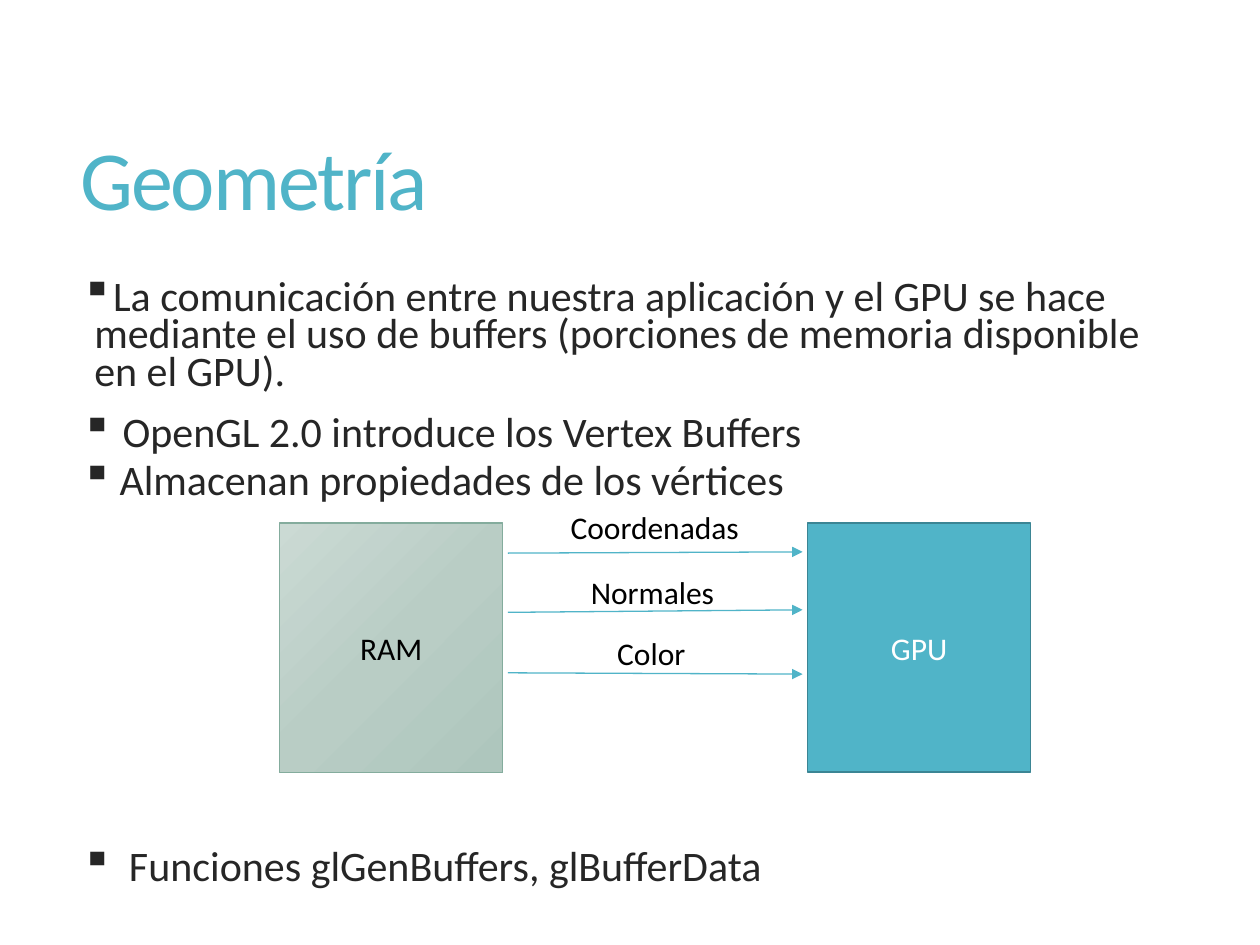
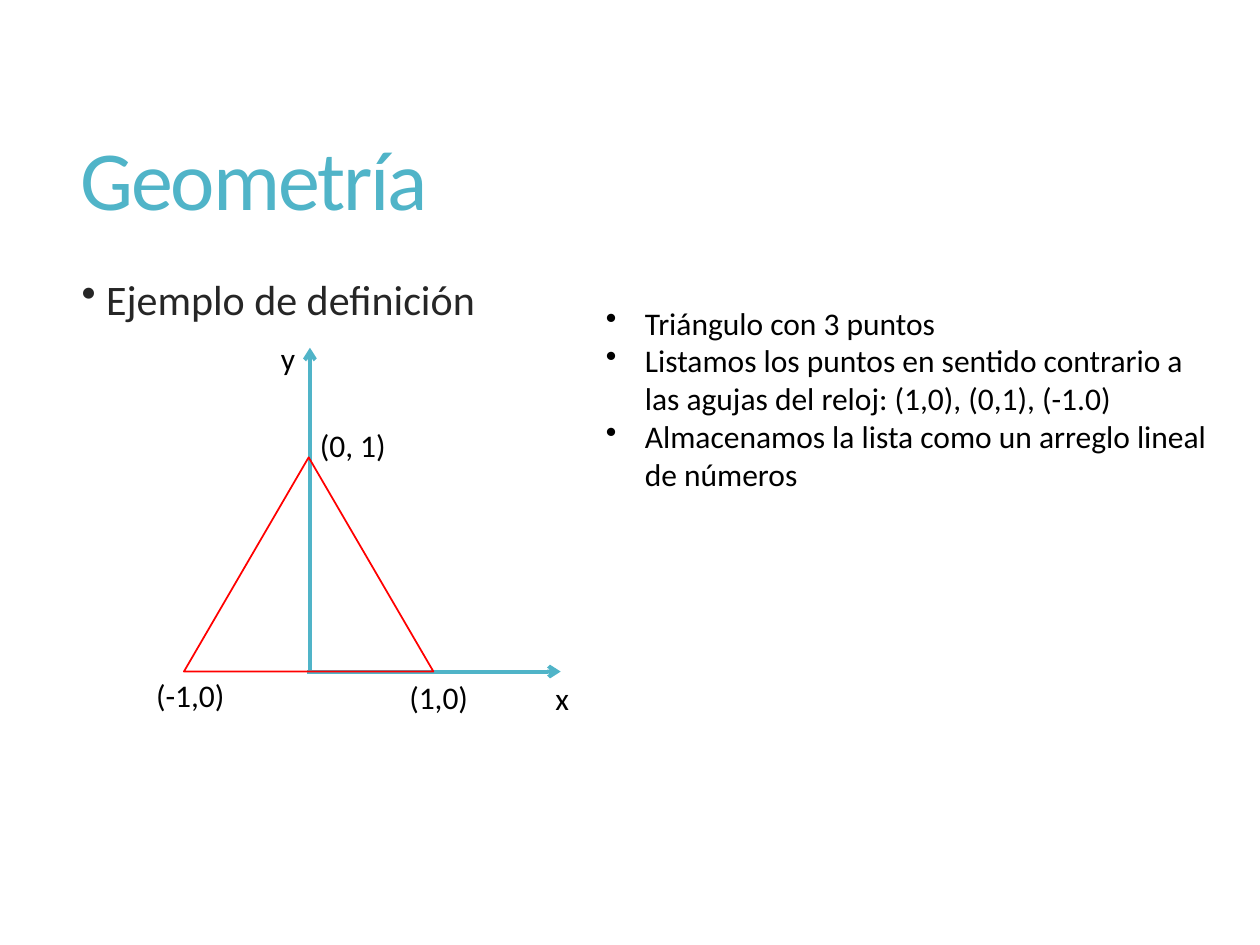
from copy import deepcopy

from lxml.etree import SubElement
from pptx import Presentation
from pptx.dml.color import RGBColor
from pptx.enum.shapes import MSO_CONNECTOR, MSO_SHAPE
from pptx.enum.text import MSO_ANCHOR, MSO_AUTO_SIZE, PP_ALIGN
from pptx.oxml.ns import qn
from pptx.util import Inches, Pt

rgb = RGBColor.from_string
TEAL, DARK, BLACK, WHITE, RED = "50B4C8", "262626", "000000", "FFFFFF", "FF0000"

TITLE_BOX = (0.54, 0.55, 8.84, 1.81)
TITLE_FONT = {"size": Pt(48), "name": "Calibri"}
BODY_FONT = {"size": Pt(24), "name": "Calibri"}
LABEL_FONT = {"size": Pt(18), "name": "Calibri"}
LABEL_FRAME = {"word_wrap": False, "auto_size": MSO_AUTO_SIZE.SHAPE_TO_FIT_TEXT}


def write(shape, lines, font, color, frame, bullet=None):
    """Fill shape with lines of (text, paragraph format, hanging indent)."""
    for key, value in frame.items():
        setattr(shape.text_frame, key, value)
    for number, (text, layout, indent) in enumerate(lines):
        paragraph = (shape.text_frame.add_paragraph() if number
                     else shape.text_frame.paragraphs[0])
        run = paragraph.add_run()
        run.text = text
        for key, value in layout.items():
            setattr(paragraph, key, value)
        for key, value in font.items():
            setattr(run.font, key, value)
        run.font.color.rgb = rgb(color)
        if bullet:
            properties = paragraph._p.get_or_add_pPr()
            properties.set("marL", str(Inches(indent)))
            properties.set("indent", str(-Inches(indent)))
            SubElement(properties, qn("a:buChar")).set("char", bullet)
    return shape


def arrow(slide, start, end, width, head):
    points = [Inches(value) for value in (*start, *end)]
    connector = slide.shapes.add_connector(MSO_CONNECTOR.STRAIGHT, *points)
    connector.line.color.rgb = rgb(TEAL)
    connector.line.width = Pt(width)
    SubElement(connector.line._get_or_add_ln(), qn("a:tailEnd")).set("type", head)
    SubElement(connector._element.spPr, qn("a:effectLst"))


presentation = Presentation()
presentation.slide_width, presentation.slide_height = Inches(10), Inches(7.5)

# Both slides: title and bulleted body
first_level = {"line_spacing": 0.75, "space_before": Pt(13)}
second_level = {"line_spacing": 0.75, "space_before": Pt(6)}
below_diagram = {"line_spacing": 0.75, "space_before": Pt(199)}
bodies = [
    (4.98, "▪", [
        ("La comunicación entre nuestra aplicación y el GPU se hace mediante el uso "
         "de buffers (porciones de memoria disponible en el GPU).", first_level, 0.1),
        (" OpenGL 2.0 introduce los Vertex Buffers", first_level, 0.1),
        ("Almacenan propiedades de los vértices", second_level, 0.3),
        (" Funciones glGenBuffers, glBufferData", below_diagram, 0.3),
    ]),
    (4.12, "•", [
        (" Ejemplo de definición", {"line_spacing": 0.85, "space_before": Pt(13)}, 0.1),
    ]),
]
slides = []
for body_height, bullet, lines in bodies:
    slide = presentation.slides.add_slide(presentation.slide_layouts[6])
    title = slide.shapes.add_textbox(*map(Inches, TITLE_BOX))
    write(title, [("Geometría", {"line_spacing": 0.9}, 0)], TITLE_FONT, TEAL,
          {"word_wrap": True, "vertical_anchor": MSO_ANCHOR.MIDDLE})
    title.text_frame.paragraphs[0].runs[0].font._element.set("spc", "-120")
    body = slide.shapes.add_textbox(*map(Inches, (0.55, 2.18, 8.82, body_height)))
    write(body, lines, BODY_FONT, DARK, {"word_wrap": True}, bullet)
    slides.append(slide)
buffers_slide, triangle_slide = slides

# Slide 1: memory blocks and the data sent between them
memories = []
for name, left, text_color, border, border_width in [
        ("RAM", 2.22, BLACK, "84AC9D", 0.75), ("GPU", 6.41, WHITE, "3B8594", 1)]:
    memory = buffers_slide.shapes.add_shape(
        MSO_SHAPE.RECTANGLE, *map(Inches, (left, 4.15, 1.77, 1.98)))
    memory.shadow.inherit = False
    memory.line.color.rgb = rgb(border)
    memory.line.width = Pt(border_width)
    write(memory, [(name, {"alignment": PP_ALIGN.CENTER}, 0)], LABEL_FONT, text_color,
          {"vertical_anchor": MSO_ANCHOR.MIDDLE})
    memories.append(memory)
ram, gpu = memories
gpu.fill.solid()
gpu.fill.fore_color.rgb = rgb(TEAL)

ram.fill.gradient()
ram.fill.gradient_angle = 315
first_stop = ram.fill.gradient_stops[0]._gs
first_stop.addnext(deepcopy(first_stop))
for stop, position, color in zip(ram.fill.gradient_stops, (0, 0.5, 1),
                                 ("CBDAD4", "B9CDC5", "AEC6BD")):
    stop.position = position
    stop.color.rgb = rgb(color)

for start_y, end_y in [(4.39, 4.38), (4.86, 4.84), (5.34, 5.35)]:
    arrow(buffers_slide, (4.03, start_y), (6.37, end_y), 0.75, "triangle")

# Slide 2: axes and triangle
arrow(triangle_slide, (2.46, 5.32), (2.46, 2.76), 2.25, "arrow")
arrow(triangle_slide, (2.44, 5.33), (4.45, 5.33), 2.25, "arrow")
triangle = triangle_slide.shapes.add_shape(
    MSO_SHAPE.ISOSCELES_TRIANGLE, *map(Inches, (1.46, 3.63, 1.98, 1.7)))
triangle.shadow.inherit = False
triangle.fill.background()
triangle.line.color.rgb = rgb(RED)
triangle.line.width = Pt(1)

# Labels of both diagrams
for slide, text, left, top, width in [
        (buffers_slide, "Coordenadas", 4.43, 3.98, 1.55),
        (buffers_slide, "Normales", 4.59, 4.5, 1.19),
        (buffers_slide, "Color", 4.8, 4.98, 0.75),
        (triangle_slide, "x", 4.31, 5.34, 0.31),
        (triangle_slide, "y", 2.13, 2.64, 0.31),
        (triangle_slide, "(0, 1)", 2.44, 3.33, 0.73),
        (triangle_slide, "(1,0)", 3.15, 5.33, 0.67),
        (triangle_slide, "(-1,0)", 1.14, 5.32, 0.75)]:
    label = slide.shapes.add_textbox(*map(Inches, (left, top, width, 0.4)))
    write(label, [(text, {}, 0)], LABEL_FONT, BLACK, LABEL_FRAME)

steps = triangle_slide.shapes.add_textbox(*map(Inches, (4.71, 2.36, 5.05, 1.92)))
write(steps, [(text, {}, 0.31) for text in (
    "Triángulo con 3 puntos",
    "Listamos los puntos en sentido contrario a las agujas del reloj: "
    "(1,0), (0,1), (-1.0)",
    "Almacenamos la lista como un arreglo lineal de números",
)], LABEL_FONT, BLACK, {**LABEL_FRAME, "word_wrap": True}, "•")

presentation.save("out.pptx")
